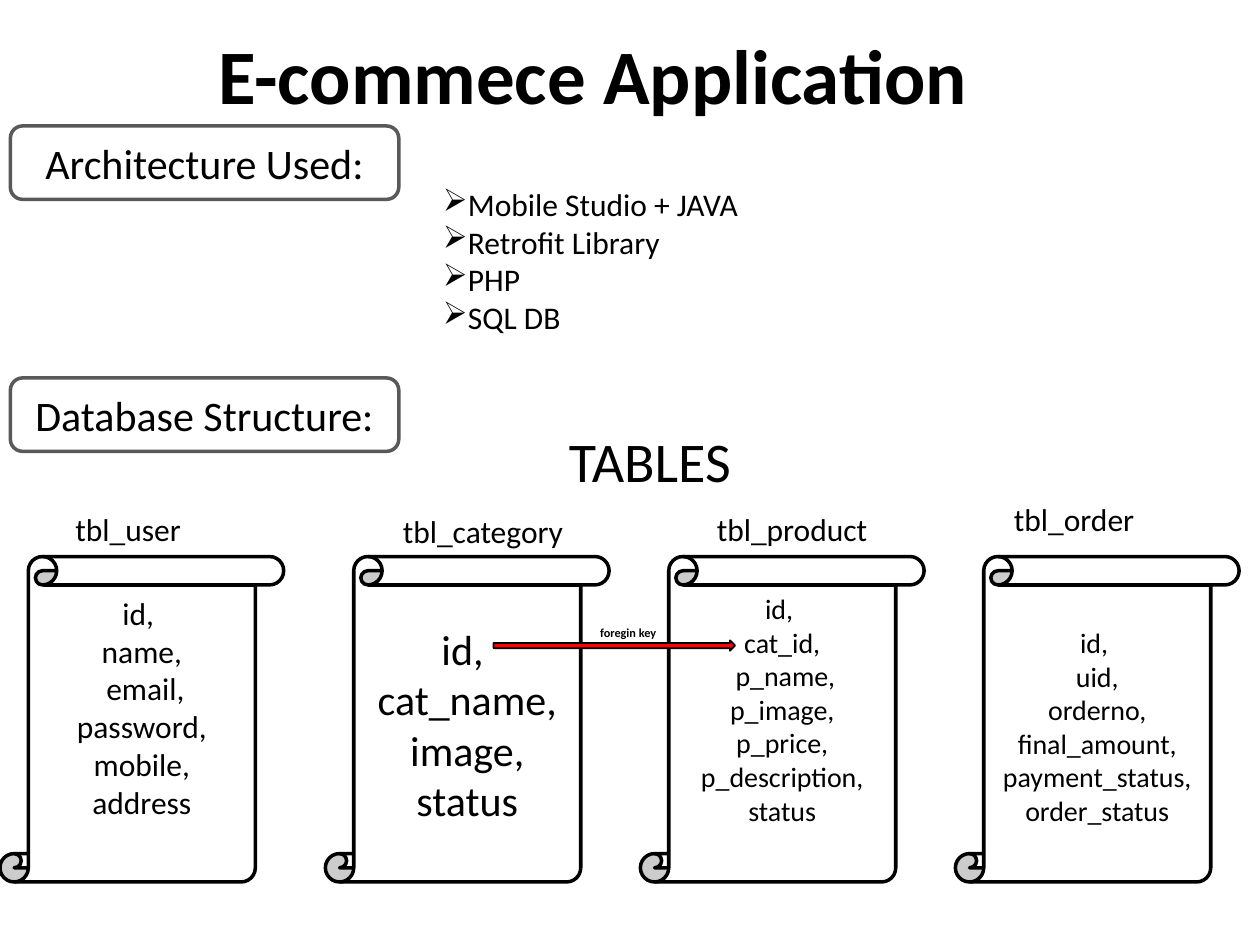
"""Build a slide on the architecture and database tables of a shop app."""
import pptx
import pptx.dml.color
import pptx.enum.shapes
import pptx.enum.text
import pptx.oxml.ns
import pptx.util
from lxml import etree

Cm = pptx.util.Cm
Pt = pptx.util.Pt
RGBColor = pptx.dml.color.RGBColor
KIND = pptx.enum.shapes.MSO_SHAPE
ALIGN = pptx.enum.text.PP_ALIGN
ANCHOR = pptx.enum.text.MSO_ANCHOR

BLACK = RGBColor(0x00, 0x00, 0x00)
WHITE = RGBColor(0xFF, 0xFF, 0xFF)
GREY = RGBColor(0x59, 0x59, 0x59)
RED = RGBColor(0xFF, 0x00, 0x00)


class Deck:
    def __init__(self, slide, font="Calibri", ink=BLACK):
        self.slide = slide
        self.font = font
        self.ink = ink

    def fill(self, frame, lines, size, bold=False, align=ALIGN.LEFT, mark=None):
        for i, line in enumerate(lines):
            para = frame.paragraphs[0] if i == 0 else frame.add_paragraph()
            para.alignment = align
            if mark:
                bullet = etree.SubElement(para._p.get_or_add_pPr(), pptx.oxml.ns.qn("a:buChar"))
                bullet.set("char", mark)
            run = para.add_run()
            run.text = line
            run.font.name = self.font
            run.font.size = Pt(size)
            run.font.bold = bold
            run.font.color.rgb = self.ink

    def text(self, box, lines, size, wrap=True, anchor=ANCHOR.TOP, **style):
        frame = self.slide.shapes.add_textbox(*map(Cm, box)).text_frame
        frame.word_wrap = wrap
        frame.vertical_anchor = anchor
        self.fill(frame, lines, size, **style)

    def shape(self, kind, box, fill, line, width):
        item = self.slide.shapes.add_shape(kind, *map(Cm, box))
        item.shadow.inherit = False
        item.fill.solid()
        item.fill.fore_color.rgb = fill
        item.line.color.rgb = line
        item.line.width = Pt(width)
        return item

    def header(self, top, title):
        item = self.shape(KIND.ROUNDED_RECTANGLE, (0.21, top, 7.83, 1.48), WHITE, GREY, 2)
        self.fill(item.text_frame, [title], 24, align=ALIGN.CENTER)

    def scroll(self, left, lines, size, foot):
        item = self.shape(KIND.VERTICAL_SCROLL, (left, 11.22, 5.72, 6.56), WHITE, BLACK, 2)
        item.adjustments[0] = 0.1
        item.text_frame.margin_bottom = Cm(foot)
        self.fill(item.text_frame, lines, size, align=ALIGN.CENTER)

    def arrow(self, box):
        self.shape(KIND.RIGHT_ARROW, box, RED, BLACK, 1)


TABLES = [
    ("tbl_user", (1.27, 10.16, 2.67), 0, 18, 0.9,
     ["id, ", "name,", " email, password, mobile, address"]),
    ("tbl_category", (7.87, 10.19, 3.78), 6.56, 24, 0.22,
     ["id, ", "cat_name,", "image,", "status"]),
    ("tbl_product", (14.2, 10.16, 3.58), 12.91, 16, 0.82,
     ["id, ", "cat_id,", " p_name, p_image, p_price, p_description,", "status"]),
    ("tbl_order", (20.19, 9.95, 2.97), 19.26, 16, 0.13,
     ["id, ", "uid,", "orderno,", "final_amount,", "payment_status,", "order_status"]),
]


def main():
    show = pptx.Presentation()
    show.slide_width, show.slide_height = Cm(25.4), Cm(19.05)
    deck = Deck(show.slides.add_slide(show.slide_layouts[6]))

    deck.text((2.33, 0, 19.26, 2.96), ["E-commece Application"], 44,
              anchor=ANCHOR.MIDDLE, bold=True, align=ALIGN.CENTER)
    deck.header(2.54, "Architecture Used:")
    deck.header(7.62, "Database Structure:")
    deck.text((8.68, 3.6, 13.12, 4.1),
              ["Mobile Studio + JAVA", "Retrofit Library", "PHP", "SQL DB"], 18, mark="➢")
    deck.text((11.22, 8.47, 5.93, 2.39), ["TABLES"], 32)

    for name, (left, top, width), edge, size, foot, fields in TABLES:
        deck.scroll(edge, fields, size, foot)
        deck.text((left, top, width, 1.02), [name], 18, wrap=False)

    deck.arrow((9.95, 12.91, 4.87, 0.21))
    deck.text((11.85, 12.49, 1.7, 0.55), ["foregin key"], 7, bold=True)
    show.save("out.pptx")


if __name__ == "__main__":
    main()
